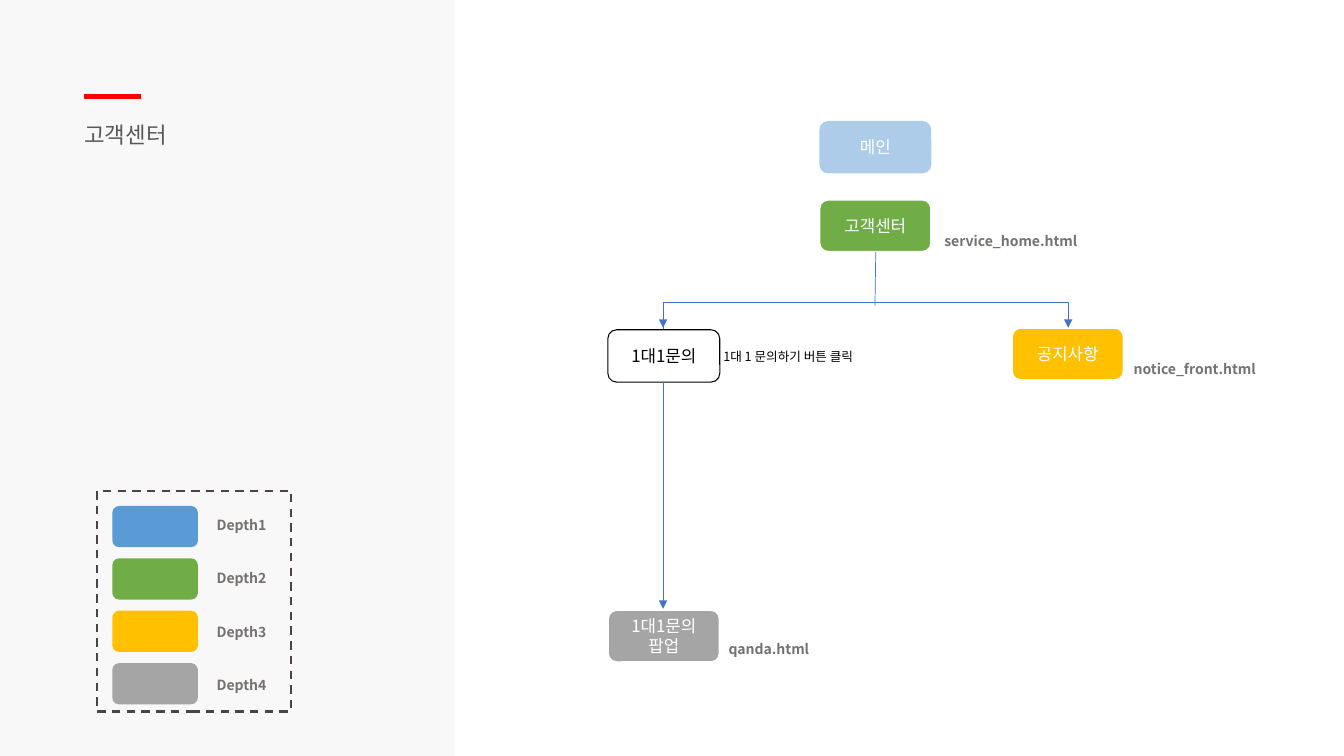
import pptx
import pptx.dml.color
import pptx.enum.dml
import pptx.enum.shapes
import pptx.enum.text
import pptx.oxml
import pptx.oxml.ns
import pptx.util
from pptx.util import Cm

FONT = "Noto Sans CJK KR"
BLUE = "4472C4"
NODE_WIDTH, NODE_HEIGHT = 2.82, 1.32
SHAPES = pptx.enum.shapes.MSO_SHAPE
CONNECTORS = pptx.enum.shapes.MSO_CONNECTOR


def rgb(color):
    return pptx.dml.color.RGBColor.from_string(color)


def add_xml(parent, tag, **attributes):
    child = pptx.oxml.parse_xml(f"<a:{tag} {pptx.oxml.ns.nsdecls('a')}/>")
    for key, value in attributes.items():
        child.set(key, value)
    parent.append(child)
    return child


def write(frame, text, size, color, bold=False, align=None, spacing=None):
    frame.text = text
    for paragraph in frame.paragraphs:
        paragraph.alignment = align
        if spacing:
            paragraph.line_spacing = pptx.util.Pt(spacing)
        font = paragraph.font
        font.name = FONT
        font.size = pptx.util.Pt(size)
        font.bold = bold
        font.color.rgb = rgb(color)
        add_xml(font._element, "ea", typeface=FONT)


def add_box(slide, kind, left, top, width, height, fill=None, alpha=None, line=None, weight=1.5):
    box = slide.shapes.add_shape(kind, Cm(left), Cm(top), Cm(width), Cm(height))
    box.shadow.inherit = False
    if fill:
        box.fill.solid()
        box.fill.fore_color.rgb = rgb(fill)
        if alpha:
            tint = box._element.spPr.find(".//" + pptx.oxml.ns.qn("a:srgbClr"))
            add_xml(tint, "alpha", val=str(alpha * 1000))
    else:
        box.fill.background()
    if line:
        box.line.color.rgb = rgb(line)
        box.line.width = pptx.util.Pt(weight)
    else:
        box.line.fill.background()
    return box


def add_node(slide, text, left, top, color="FFFFFF", **style):
    node = add_box(slide, SHAPES.ROUNDED_RECTANGLE, left, top, NODE_WIDTH, NODE_HEIGHT, **style)
    node.text_frame.vertical_anchor = pptx.enum.text.MSO_ANCHOR.MIDDLE
    write(node.text_frame, text, 12, color, align=pptx.enum.text.PP_ALIGN.CENTER)


def add_text(slide, text, left, top, width, height, size, color, wrap=True, **style):
    frame = slide.shapes.add_textbox(Cm(left), Cm(top), Cm(width), Cm(height)).text_frame
    frame.word_wrap = wrap
    frame.auto_size = pptx.enum.text.MSO_AUTO_SIZE.SHAPE_TO_FIT_TEXT
    write(frame, text, size, color, **style)


def add_label(slide, text, left, top, width=3.91):
    add_text(slide, text, left, top, width, 0.69, 10, "767171", bold=True, spacing=13)


def add_line(slide, x1, y1, x2, y2, color=BLUE, weight=0.5, arrow=False, kind=CONNECTORS.STRAIGHT):
    line = slide.shapes.add_connector(kind, Cm(x1), Cm(y1), Cm(x2), Cm(y2))
    line.line.color.rgb = rgb(color)
    line.line.width = pptx.util.Pt(weight)
    if arrow:
        add_xml(line.line._get_or_add_ln(), "tailEnd", type="triangle")
    add_xml(line._element.spPr, "effectLst")
    return line


def add_branch(slide):
    branch = add_line(slide, 21.85, 13.37, 21.8, 3.17, kind=CONNECTORS.ELBOW)
    properties = branch._element.spPr
    properties.find(pptx.oxml.ns.qn("a:xfrm")).set("rot", "5400000")
    guides = properties.find(".//" + pptx.oxml.ns.qn("a:avLst"))
    add_xml(guides, "gd", name="adj1", fmla="val 1350000")


def add_legend(slide, depth_colors):
    frame = add_box(slide, SHAPES.RECTANGLE, 2.44, 12.37, 4.9, 5.56, line="4B4442")
    frame.line.dash_style = pptx.enum.dml.MSO_LINE.DASH
    for row, color in enumerate(depth_colors):
        add_box(slide, SHAPES.ROUNDED_RECTANGLE, 2.83, 12.75 + 1.32 * row, 2.16, 1.04, fill=color)
        add_label(slide, f"Depth{row + 1}", 5.21, 12.85 + 1.35 * row, 3.2)


def main():
    deck = pptx.Presentation()
    deck.slide_width, deck.slide_height = Cm(33.87), Cm(19.05)
    slide = deck.slides.add_slide(deck.slide_layouts[6])
    depth_colors = ["5B9BD5", "70AD47", "FFC000", "A5A5A5"]
    main_color, center_color, notice_color, popup_color = depth_colors

    add_box(slide, SHAPES.RECTANGLE, 0, 0, 11.46, 19.05, fill="F2F2F2", alpha=50)
    add_text(slide, "고객센터", 1.88, 2.82, 6.17, 0.97, 16, "595959", spacing=22)
    add_line(slide, 2.11, 2.44, 3.56, 2.44, color="FF0000", weight=3.5)

    add_node(slide, "메인", 20.65, 3.05, fill=main_color, alpha=50)
    add_node(slide, "고객센터", 20.65, 5.03, fill=center_color, line="FFFFFF")
    add_node(slide, "1대1문의", 15.32, 8.31, color="000000", line="000000", weight=0.75)
    add_node(slide, "공지사항", 25.5, 8.26, fill=notice_color, line="FFFFFF")
    add_node(slide, "1대1문의\n팝업", 15.32, 15.37, fill=popup_color, line="FFFFFF")

    add_branch(slide)
    add_line(slide, 22.07, 6.35, 22.05, 7.7)
    for x, top, bottom in [(16.71, 7.7, 8.26), (26.92, 7.65, 8.26), (16.71, 9.63, 15.34)]:
        add_line(slide, x, top, x, bottom, arrow=True)

    add_label(slide, "service_home.html", 23.55, 5.69)
    add_label(slide, "notice_front.html", 28.32, 8.92)
    add_label(slide, "qanda.html", 18.11, 15.98)
    add_text(slide, "1대 1 문의하기 버튼 클릭", 17.98, 8.66, 4.19, 0.64, 9, "000000", wrap=False)
    add_legend(slide, depth_colors)

    deck.save("out.pptx")


if __name__ == "__main__":
    main()
